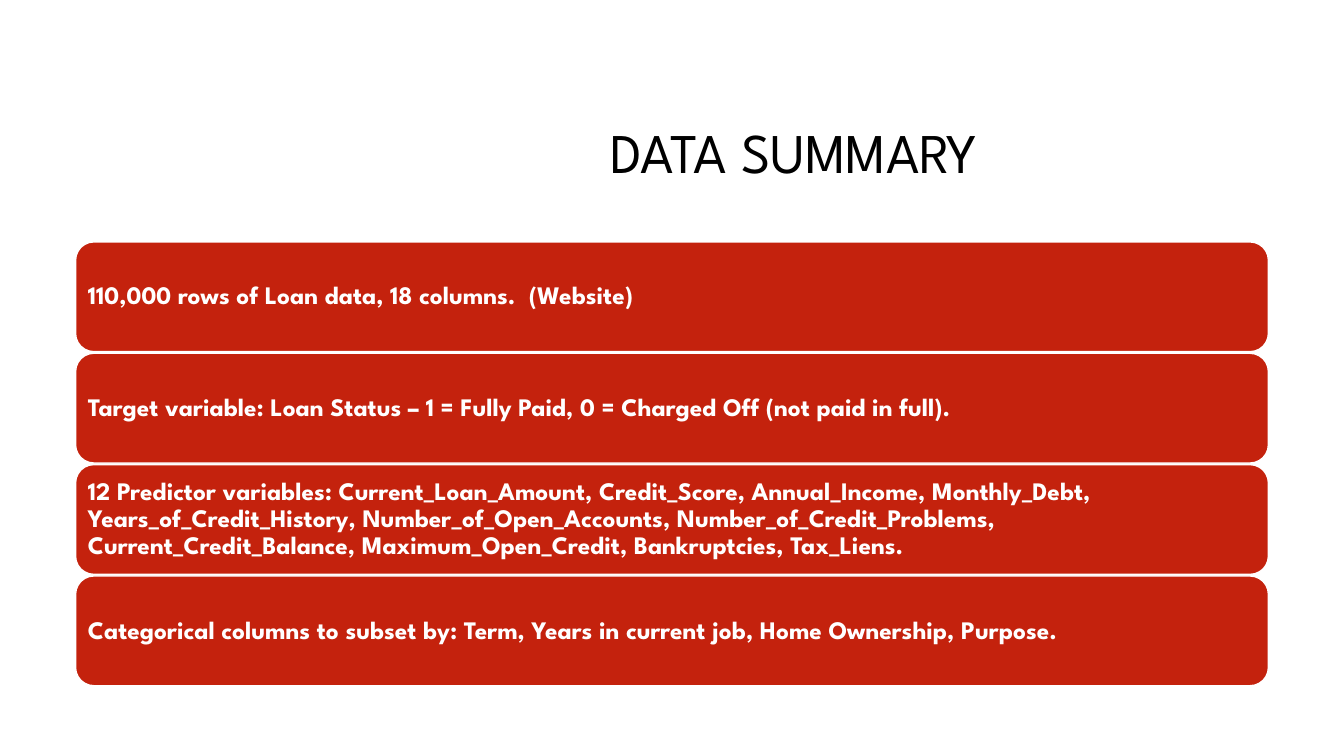
from pptx import Presentation
from pptx.dml.color import RGBColor
from pptx.enum.shapes import MSO_SHAPE
from pptx.enum.text import MSO_ANCHOR, PP_ALIGN
from pptx.util import Pt

ROUNDED = MSO_SHAPE.ROUNDED_RECTANGLE
MIDDLE = MSO_ANCHOR.MIDDLE
LEFT, CENTER = PP_ALIGN.LEFT, PP_ALIGN.CENTER

RED = RGBColor(0xC4, 0x22, 0x0D)
WHITE = RGBColor(0xFF, 0xFF, 0xFF)
BLACK = RGBColor(0x00, 0x00, 0x00)
FONT = "League Spartan"

TITLE_ONLY = 5
BAR_GAP = 1.15
BAR_INSET = 5

FACTS = [
    "110,000 rows of Loan data, 18 columns.  (Website)",
    "Target variable: Loan Status – 1 = Fully Paid, 0 = Charged Off (not paid in full).",
    "12 Predictor variables: Current_Loan_Amount, Credit_Score, Annual_Income, "
    "Monthly_Debt, Years_of_Credit_History, Number_of_Open_Accounts, "
    "Number_of_Credit_Problems, Current_Credit_Balance, Maximum_Open_Credit, "
    "Bankruptcies, Tax_Liens.",
    "Categorical columns to subset by: Term, Years in current job, Home Ownership, Purpose.",
]


def write_text(shape, text, size, color, bold, alignment):
    text_frame = shape.text_frame
    text_frame.text = text
    text_frame.word_wrap = True
    text_frame.vertical_anchor = MIDDLE
    paragraph = text_frame.paragraphs[0]
    paragraph.alignment = alignment
    paragraph.line_spacing = 0.9
    font = paragraph.runs[0].font
    font.name = FONT
    font.size = Pt(size)
    font.bold = bold
    font.color.rgb = color


def add_title(slide, text, left, top, width, height):
    title = slide.shapes.title
    title.left, title.top = Pt(left), Pt(top)
    title.width, title.height = Pt(width), Pt(height)
    write_text(title, text, 40, BLACK, False, CENTER)


def add_fact_bars(slide, facts, left, top, width, height):
    # Equal bars fill the box from top to bottom
    pitch = (height + BAR_GAP) / len(facts)
    for index, fact in enumerate(facts):
        bar = slide.shapes.add_shape(
            ROUNDED, Pt(left), Pt(top + index * pitch), Pt(width), Pt(pitch - BAR_GAP))
        bar.shadow.inherit = False
        bar.fill.solid()
        bar.fill.fore_color.rgb = RED
        bar.line.color.rgb = WHITE
        bar.line.width = Pt(1)
        text_frame = bar.text_frame
        text_frame.margin_left = text_frame.margin_right = Pt(BAR_INSET)
        text_frame.margin_top = text_frame.margin_bottom = Pt(BAR_INSET)
        write_text(bar, fact, 18, WHITE, True, LEFT)


def main():
    presentation = Presentation()
    presentation.slide_width, presentation.slide_height = Pt(960), Pt(540)
    slide = presentation.slides.add_slide(presentation.slide_layouts[TITLE_ONLY])

    # Heading
    add_title(slide, "DATA SUMMARY", 228, 60.5, 678, 101.5)

    # Stack of facts about the data
    add_fact_bars(slide, FACTS, 54, 172.8, 852, 317)

    presentation.save("out.pptx")


if __name__ == "__main__":
    main()
